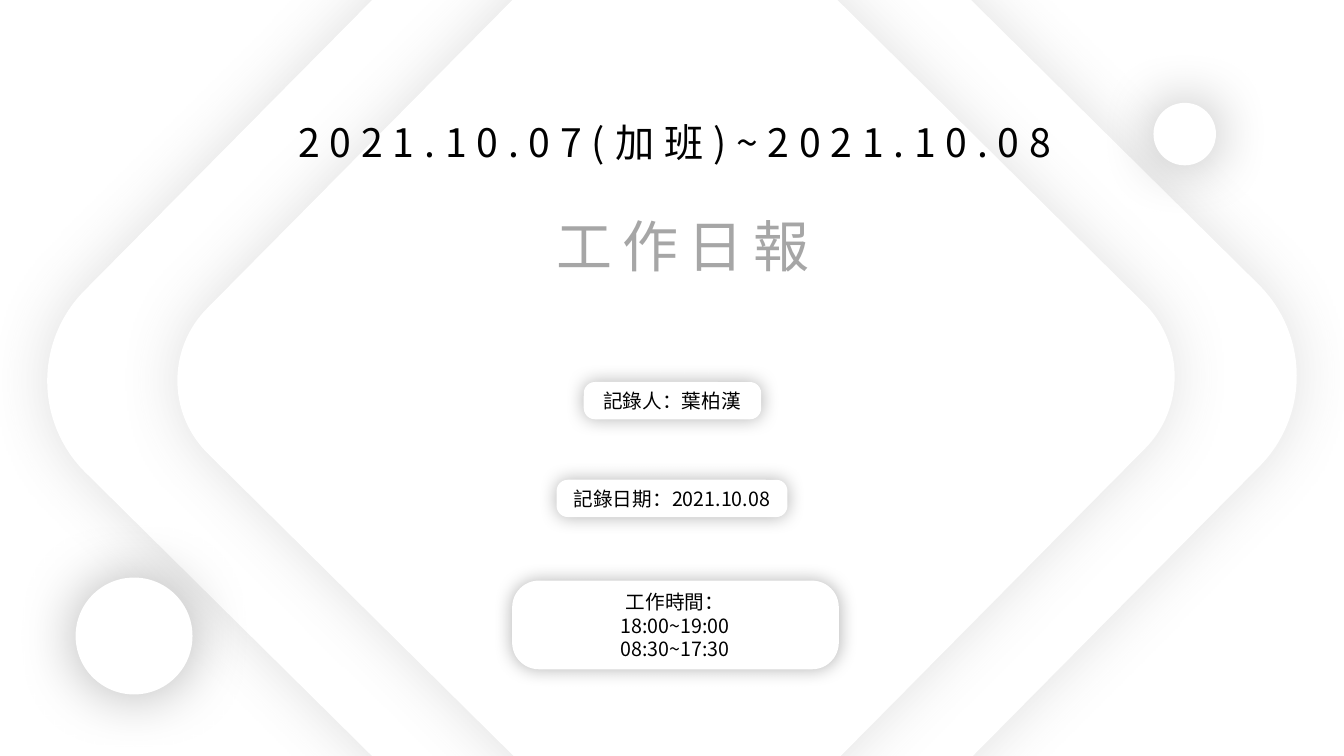
from dataclasses import dataclass

from lxml import etree
from pptx import Presentation
from pptx import util as u
from pptx.dml.color import RGBColor
from pptx.enum import shapes, text
from pptx.oxml import ns

FONT = "Noto Sans CJK SC"
WHITE, BLACK, GREY, SHADE = "FFFFFF", "000000", "A6A6A6", "595959"
ROUND, OVAL = shapes.MSO_SHAPE.ROUNDED_RECTANGLE, shapes.MSO_SHAPE.OVAL


@dataclass(frozen=True)
class Box:
    left: float
    top: float
    width: float
    height: float

    def lengths(self) -> tuple:
        return tuple(u.Inches(n) for n in (self.left, self.top, self.width, self.height))


@dataclass(frozen=True)
class Label:
    pill: Box
    caption: Box
    lines: tuple[str, ...]


DIAMONDS = (Box(1.91, -1, 9.51, 9.51), Box(2.91, -0.04, 7.59, 7.59))
CIRCLES = (Box(0.75, 5.73, 1.16, 1.16), Box(11.44, 1.02, 0.62, 0.62))
LABELS = (
    Label(Box(5.79, 3.79, 1.76, 0.37), Box(5.62, 3.81, 2.09, 0.34), ("記錄人：葉柏漢",)),
    Label(Box(5.52, 4.76, 2.29, 0.37), Box(5.46, 4.78, 2.41, 0.34), ("記錄日期：2021.10.08",)),
    Label(Box(5.08, 5.76, 3.24, 0.88), Box(4.99, 5.8, 3.41, 0.81),
          ("工作時間：", "18:00~19:00", "08:30~17:30")),
)


def color(value: str) -> RGBColor:
    return RGBColor.from_string(value)


def add_soft_shape(parent, kind, box: Box, *, blur: float, shade: str = BLACK,
                   opacity: int = 30, corner: float | None = None, rotation: float = 0):
    shape = parent.add_shape(kind, *box.lengths())
    shape.rotation = rotation
    if corner is not None:
        shape.adjustments[0] = corner
    shape.fill.solid()
    shape.fill.fore_color.rgb = color(WHITE)
    shape.line.fill.background()
    shape.shadow.inherit = False
    effects = shape._element.spPr.find(ns.qn("a:effectLst"))
    shadow = etree.SubElement(effects, ns.qn("a:outerShdw"), blurRad=str(u.Pt(blur)),
                              dist="0", dir="0", algn="ctr", rotWithShape="0")
    tint = etree.SubElement(shadow, ns.qn("a:srgbClr"), val=shade)
    etree.SubElement(tint, ns.qn("a:alpha"), val=str(opacity * 1000))
    return shape


def write_text(shape, lines: tuple[str, ...], *, size: float, ink: str = BLACK,
               tracking: float = 0) -> None:
    frame = shape.text_frame
    frame.word_wrap = True
    frame.auto_size = text.MSO_AUTO_SIZE.NONE
    frame.vertical_anchor = text.MSO_ANCHOR.MIDDLE
    frame.text = "\n".join(lines)
    for paragraph in frame.paragraphs:
        paragraph.alignment = text.PP_ALIGN.CENTER
        paragraph.line_spacing = u.Pt(size * 1.2)
        paragraph.space_before = u.Pt(0)
        for run in paragraph.runs:
            run.font.name = FONT
            run.font.size = u.Pt(size)
            run.font.color.rgb = color(ink)
            properties = run._r.get_or_add_rPr()
            properties.set("spc", str(int(tracking * 100)))
            etree.SubElement(properties, ns.qn("a:ea"), typeface=FONT)


def place_heading(slide, placeholder, box: Box, line: str, **style) -> None:
    placeholder.left, placeholder.top, placeholder.width, placeholder.height = box.lengths()
    write_text(placeholder, (line,), **style)
    slide.shapes._spTree.append(placeholder._element)


def add_label(slide, label: Label) -> None:
    group = slide.shapes.add_group_shape()
    add_soft_shape(group.shapes, ROUND, label.pill, blur=13, corner=0.302)
    caption = group.shapes.add_textbox(*label.caption.lengths())
    write_text(caption, label.lines, size=14)


def main() -> None:
    presentation = Presentation()
    presentation.slide_width, presentation.slide_height = u.Inches(13.33), u.Inches(7.5)
    slide = presentation.slides.add_slide(presentation.slide_layouts[0])
    slide.background.fill.solid()
    slide.background.fill.fore_color.rgb = color(WHITE)
    title, subtitle = slide.shapes.title, slide.placeholders[1]
    for diamond in DIAMONDS:
        add_soft_shape(slide.shapes, ROUND, diamond, blur=43, shade=SHADE, opacity=19,
                       corner=0.134, rotation=44.7)
    place_heading(slide, subtitle, Box(2.66, 1.12, 8.07, 0.57),
                  "2021.10.07(加班)~2021.10.08", size=28, tracking=7)
    place_heading(slide, title, Box(4.4, 2.05, 4.75, 0.77),
                  "工作日報", size=40, ink=GREY, tracking=7)
    for circle in CIRCLES:
        add_soft_shape(slide.shapes, OVAL, circle, blur=43)
    for label in LABELS:
        add_label(slide, label)
    presentation.save("out.pptx")


main()
